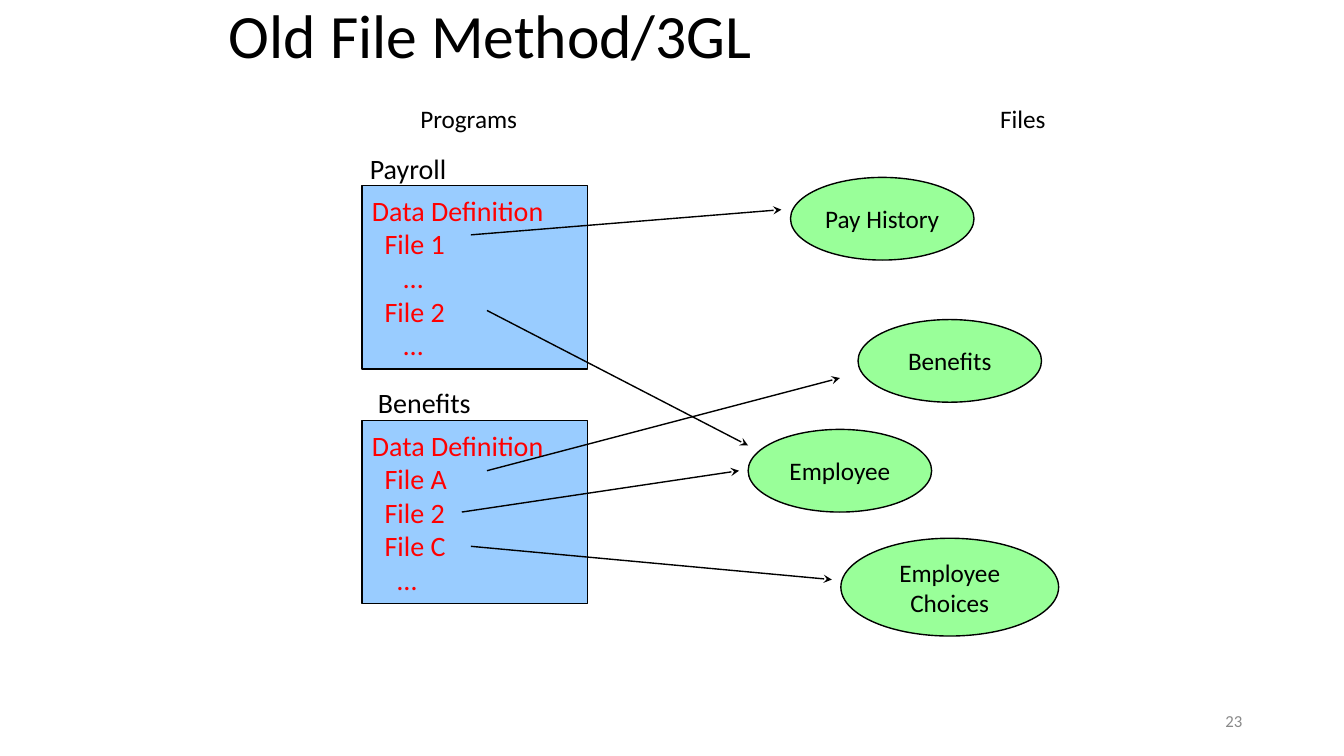
"""Build the slide showing programs that each define their own data files."""
from lxml import etree
from pptx import Presentation
from pptx.dml.color import RGBColor
from pptx.enum.shapes import MSO_CONNECTOR, MSO_SHAPE
from pptx.enum.text import MSO_ANCHOR, PP_ALIGN
from pptx.oxml.ns import qn
from pptx.util import Inches, Pt

RECTANGLE, OVAL = MSO_SHAPE.RECTANGLE, MSO_SHAPE.OVAL
STRAIGHT = MSO_CONNECTOR.STRAIGHT
TOP, MIDDLE = MSO_ANCHOR.TOP, MSO_ANCHOR.MIDDLE
LEFT, CENTER, RIGHT = PP_ALIGN.LEFT, PP_ALIGN.CENTER, PP_ALIGN.RIGHT

FONT = "Calibri"
BLACK, RED, GRAY = "000000", "FF0000", "898989"
BLUE, GREEN = "99CCFF", "99FF99"

TITLE = "Old File Method/3GL"
LABELS = [
    ("Files", 9.82, 0.98, 0.66, 0.4, 18),
    ("Programs", 4.07, 0.98, 1.17, 0.4, 18),
    ("Payroll", 3.57, 1.45, 0.97, 0.44, 20),
    ("Benefits", 3.65, 3.78, 1.14, 0.44, 20),
]
PROGRAMS = [
    (1.84, [("Data Definition", 0), ("File 1", 2), ("…", 5), ("File 2", 2), ("…", 5)]),
    (4.17, [("Data Definition", 0), ("File A", 2), ("File 2", 2), ("File C", 2), ("…", 4)]),
]
PROGRAM_LEFT, PROGRAM_WIDTH, PROGRAM_HEIGHT = 3.59, 2.24, 1.82
INDENT_STEP = 0.063
FILES = [
    (["Pay History"], 7.84, 1.76, 1.82, 0.82),
    (["Benefits"], 8.51, 3.17, 1.82, 0.82),
    (["Employee"], 7.42, 4.26, 1.82, 0.82),
    (["Employee", "Choices"], 8.34, 5.34, 2.16, 0.97),
]
ARROWS = [
    ((4.67, 2.33), (7.75, 2.08)),
    ((4.83, 3.08), (7.42, 4.42)),
    ((4.83, 4.67), (8.33, 3.75)),
    ((4.58, 5.08), (7.33, 4.67)),
    ((4.67, 5.42), (8.25, 5.75)),
]


def color(hex_code):
    return RGBColor.from_string(hex_code)


def write(frame, lines, size, ink, align=LEFT, anchor=TOP, wrap=False):
    frame.word_wrap = wrap
    frame.vertical_anchor = anchor
    for index, (line, indent) in enumerate(lines):
        paragraph = frame.paragraphs[0] if index == 0 else frame.add_paragraph()
        paragraph.text = line
        paragraph.alignment = align
        if indent:
            properties = paragraph._p.get_or_add_pPr()
            properties.set("marL", str(Inches(indent * INDENT_STEP)))
            properties.set("indent", "0")
        paragraph.font.name = FONT
        paragraph.font.size = Pt(size)
        paragraph.font.color.rgb = color(ink)


def add_node(slide, kind, box, fill):
    node = slide.shapes.add_shape(kind, *map(Inches, box))
    node.shadow.inherit = False
    node.fill.solid()
    node.fill.fore_color.rgb = color(fill)
    node.line.color.rgb = color(BLACK)
    node.line.width = Pt(1)
    return node.text_frame


def add_label(slide, text, box, size, ink=BLACK, **layout):
    label = slide.shapes.add_textbox(*map(Inches, box))
    write(label.text_frame, [(text, 0)], size, ink, **layout)


def add_arrow(slide, start, end):
    arrow = slide.shapes.add_connector(STRAIGHT, *map(Inches, start + end))
    arrow.line.color.rgb = color(BLACK)
    arrow.line.width = Pt(1)
    etree.SubElement(arrow.line._get_or_add_ln(), qn("a:tailEnd"), type="stealth")
    etree.SubElement(arrow._element.spPr, qn("a:effectLst"))


def main():
    deck = Presentation()
    deck.slide_width, deck.slide_height = Inches(13.33), Inches(7.5)
    slide = deck.slides.add_slide(deck.slide_layouts[5])

    title = slide.shapes.title
    title.left, title.top = Inches(2.17), Inches(-0.08)
    title.width, title.height = Inches(9), Inches(0.92)
    write(title.text_frame, [(TITLE, 0)], 44, BLACK, anchor=MIDDLE, wrap=True)
    title.text_frame.paragraphs[0].line_spacing = 0.9

    for top, lines in PROGRAMS:
        box = (PROGRAM_LEFT, top, PROGRAM_WIDTH, PROGRAM_HEIGHT)
        frame = add_node(slide, RECTANGLE, box, BLUE)
        write(frame, lines, 20, RED, anchor=MIDDLE, wrap=True)
    for names, *box in FILES:
        frame = add_node(slide, OVAL, box, GREEN)
        write(frame, [(name, 0) for name in names], 18, BLACK, CENTER, MIDDLE)
    for start, end in ARROWS:
        add_arrow(slide, start, end)
    for text, *box, size in LABELS:
        add_label(slide, text, box, size)
    add_label(slide, "23", (9.42, 6.95, 3, 0.4), 12, GRAY,
              align=RIGHT, anchor=MIDDLE, wrap=True)

    deck.save("out.pptx")


if __name__ == "__main__":
    main()
